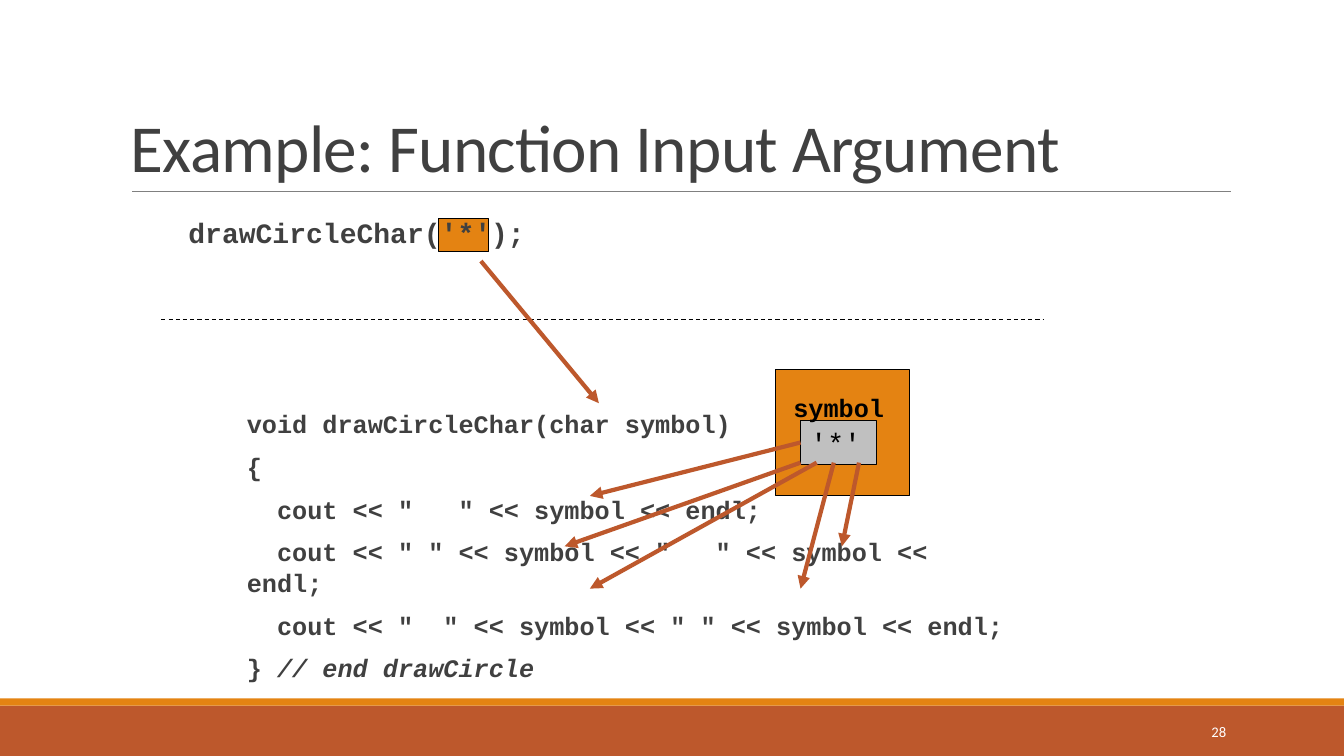
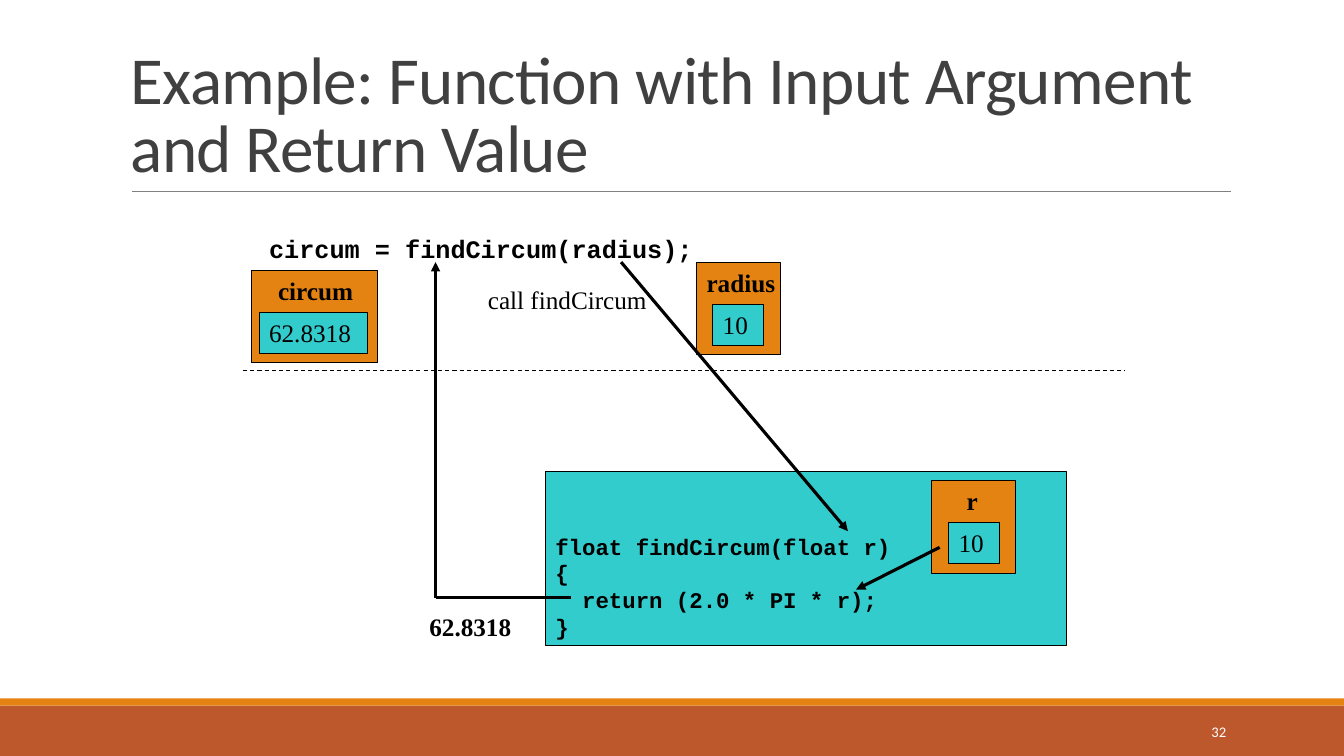
from lxml import etree
from pptx import Presentation
from pptx.dml.color import RGBColor
from pptx.enum.dml import MSO_LINE
from pptx.enum.shapes import MSO_CONNECTOR, MSO_SHAPE
from pptx.enum.text import MSO_ANCHOR, PP_ALIGN
from pptx.oxml.ns import qn
from pptx.util import Inches, Pt

RECTANGLE = MSO_SHAPE.RECTANGLE
STRAIGHT = MSO_CONNECTOR.STRAIGHT
DASH = MSO_LINE.DASH
TOP, MIDDLE, BOTTOM = MSO_ANCHOR.TOP, MSO_ANCHOR.MIDDLE, MSO_ANCHOR.BOTTOM
LEFT, RIGHT = PP_ALIGN.LEFT, PP_ALIGN.RIGHT
LEFT_SIDE = 1

COLORS = {
    "rust": "BD582C", "orange": "E48312", "teal": "33CCCC", "silver": "C0C0C0",
    "rule": "808080", "dark": "404040", "black": "000000", "white": "FFFFFF",
}
HEADING, CODE, SERIF = "Calibri", "Courier New", "Times New Roman"

# Input argument slide
CHAR_TITLE = "Example: Function Input Argument"
CHAR_CALL = "drawCircleChar('*');"
CHAR_FUNCTION = [
    "void drawCircleChar(char symbol)",
    "{",
    '  cout << "   " << symbol << endl;',
    '  cout << " " << symbol << "   " << symbol << endl;',
    '  cout << "  " << symbol << " " << symbol << endl;',
    [("} ", False), ("// end drawCircle", True)],
]
SYMBOL_CELL = {
    "frame": (7.69, 3.67, 1.33, 1.25),
    "value": ("'*'", (7.94, 4.17, 0.75, 0.44)),
    "label": ("symbol", (7.77, 3.84, 1.2, 0.4)),
}
SYMBOL_USES = [
    ((7.94, 4.59), (5.6, 5.42)),
    ((8.1, 4.59), (5.85, 5.84)),
    ((8.27, 4.59), (7.94, 5.84)),
    ((8.52, 4.59), (8.35, 5.42)),
]

# Return value slide
CIRCUM_TITLE = "Example: Function with Input Argument and Return Value"
CIRCUM_CALL = "circum = findCircum(radius);"
CIRCUM_FUNCTION = [
    "float findCircum(float r)",
    "{",
    "  return (2.0 * PI * r);",
    "}",
]
CIRCUM_CELLS = [
    {"frame": (6.91, 2.6, 0.83, 0.92),
     "value": ("10", (7.07, 3.02, 0.5, 0.41)),
     "label": ("radius", (6.91, 2.6, 1.17, 0.4))},
    {"frame": (9.24, 4.77, 0.83, 0.92),
     "value": ("10", (9.41, 5.18, 0.5, 0.41)),
     "label": ("r", (9.49, 4.77, 0.33, 0.4))},
    {"frame": (2.49, 2.68, 1.25, 0.92),
     "value": ("62.8318", (2.57, 3.1, 1.08, 0.41)),
     "label": ("circum", (2.66, 2.68, 1.17, 0.4))},
]
CIRCUM_LINES = [  # start, end, arrowhead
    ((6.16, 2.6), (8.41, 5.27), True),
    ((5.66, 5.93), (4.32, 5.93), False),
    ((4.32, 5.93), (4.32, 2.6), True),
    ((9.32, 5.43), (8.49, 5.85), True),
]


def rgb(name):
    return RGBColor.from_string(COLORS[name])


def write(shape, lines, font=CODE, size=18, color="black", bold=False,
          align=LEFT, anchor=TOP, line_spacing=None, gap=0, tracking=None):
    """Fill a shape with paragraphs; a line is a string or (text, italic) runs."""
    frame = shape.text_frame
    frame.word_wrap = True
    frame.vertical_anchor = anchor
    for index, line in enumerate([lines] if isinstance(lines, str) else lines):
        paragraph = frame.paragraphs[0] if index == 0 else frame.add_paragraph()
        paragraph.alignment = align
        paragraph.space_before = Pt(gap if index else 0)
        if line_spacing:
            paragraph.line_spacing = line_spacing
        for text, italic in [(line, False)] if isinstance(line, str) else line:
            run = paragraph.add_run()
            run.text = text
            run.font.name = font
            run.font.size = Pt(size)
            run.font.bold = bold
            run.font.italic = italic
            run.font.color.rgb = rgb(color)
            if tracking:
                run.font._element.set("spc", str(int(tracking * 100)))


def add_text(shapes, lines, box, **style):
    write(shapes.add_textbox(*map(Inches, box)), lines, **style)


def add_box(shapes, box, fill, outline="black"):
    shape = shapes.add_shape(RECTANGLE, *map(Inches, box))
    shape.shadow.inherit = False
    shape.fill.solid()
    shape.fill.fore_color.rgb = rgb(fill)
    if outline:
        shape.line.color.rgb = rgb(outline)
        shape.line.width = Pt(0.75)
    else:
        shape.line.fill.background()
    return shape


def add_line(slide, start, end, color="black", width=0.75, dash=None, arrow=False):
    connector = slide.shapes.add_connector(STRAIGHT, *map(Inches, (*start, *end)))
    connector.line.color.rgb = rgb(color)
    connector.line.width = Pt(width)
    if dash:
        connector.line.dash_style = dash
    if arrow:
        etree.SubElement(connector.line._get_or_add_ln(), qn("a:tailEnd"), type="triangle")
    etree.SubElement(connector._element.spPr, qn("a:effectLst"))
    return connector


def add_cell(slide, cell, fill, font, value_size=18):
    """Draw a named variable as a grouped memory cell and return its value box."""
    shapes = slide.shapes.add_group_shape().shapes
    add_box(shapes, cell["frame"], "orange")
    value, value_box = cell["value"]
    value_shape = add_box(shapes, value_box, fill)
    write(value_shape, value, font=font, size=value_size)
    label, label_box = cell["label"]
    add_text(shapes, label, label_box, font=font, bold=True)
    return value_shape


def add_base_slide(presentation, title, number):
    slide = presentation.slides.add_slide(presentation.slide_layouts[6])
    add_box(slide.shapes, (0, 7, 13.33, 0.5), "rust", outline=None)
    add_box(slide.shapes, (0, 6.93, 13.33, 0.07), "orange", outline=None)
    add_line(slide, (1.31, 1.9), (12.21, 1.9), color="rule", width=0.5)
    add_text(slide.shapes, title, (1.2, 0.31, 11, 1.59), font=HEADING, size=48,
             color="dark", anchor=BOTTOM, line_spacing=0.85, tracking=-0.5)
    add_text(slide.shapes, str(number), (10.83, 7.06, 1.43, 0.4), font=HEADING,
             size=10.5, color="white", align=RIGHT, anchor=MIDDLE)
    return slide


def build_input_argument(presentation):
    slide = add_base_slide(presentation, CHAR_TITLE, 28)
    add_box(slide.shapes, (4.35, 2.17, 0.5, 0.33), "orange")
    add_text(slide.shapes, CHAR_CALL, (1.77, 2.09, 4.42, 0.43), size=20,
             color="dark", bold=True)
    add_text(slide.shapes, CHAR_FUNCTION, (2.35, 4, 7.83, 3.01), color="dark",
             bold=True, gap=9)
    add_line(slide, (1.6, 3.17), (10.35, 3.17), dash=DASH)
    value_shape = add_cell(slide, SYMBOL_CELL, "silver", CODE, value_size=20)

    arrow_style = {"color": "rust", "width": 3, "arrow": True}
    add_line(slide, (4.77, 2.59), (5.94, 4), **arrow_style)
    first_use = add_line(slide, (7.94, 4.39), (5.85, 4.92), **arrow_style)
    first_use.begin_connect(value_shape, LEFT_SIDE)
    for start, end in SYMBOL_USES:
        add_line(slide, start, end, **arrow_style)


def build_return_value(presentation):
    slide = add_base_slide(presentation, CIRCUM_TITLE, 32)
    add_text(slide.shapes, CIRCUM_CALL, (2.57, 2.27, 4.67, 0.4), bold=True)
    function_box = add_box(slide.shapes, (5.41, 4.68, 5.17, 1.72), "teal")
    write(function_box, CIRCUM_FUNCTION, size=16, bold=True, anchor=BOTTOM)
    add_line(slide, (2.41, 3.68), (11.16, 3.68), dash=DASH)
    for cell in CIRCUM_CELLS:
        add_cell(slide, cell, "teal", SERIF)
    add_text(slide.shapes, "62.8318", (4.16, 6.02, 1.08, 0.4), font=SERIF, bold=True)
    add_text(slide.shapes, "call findCircum", (4.74, 2.77, 1.92, 0.4), font=SERIF)
    for start, end, arrow in CIRCUM_LINES:
        add_line(slide, start, end, width=2.25, arrow=arrow)


def main():
    presentation = Presentation()
    presentation.slide_width = Inches(13.33)
    presentation.slide_height = Inches(7.5)
    build_input_argument(presentation)
    build_return_value(presentation)
    presentation.save("out.pptx")


if __name__ == "__main__":
    main()
